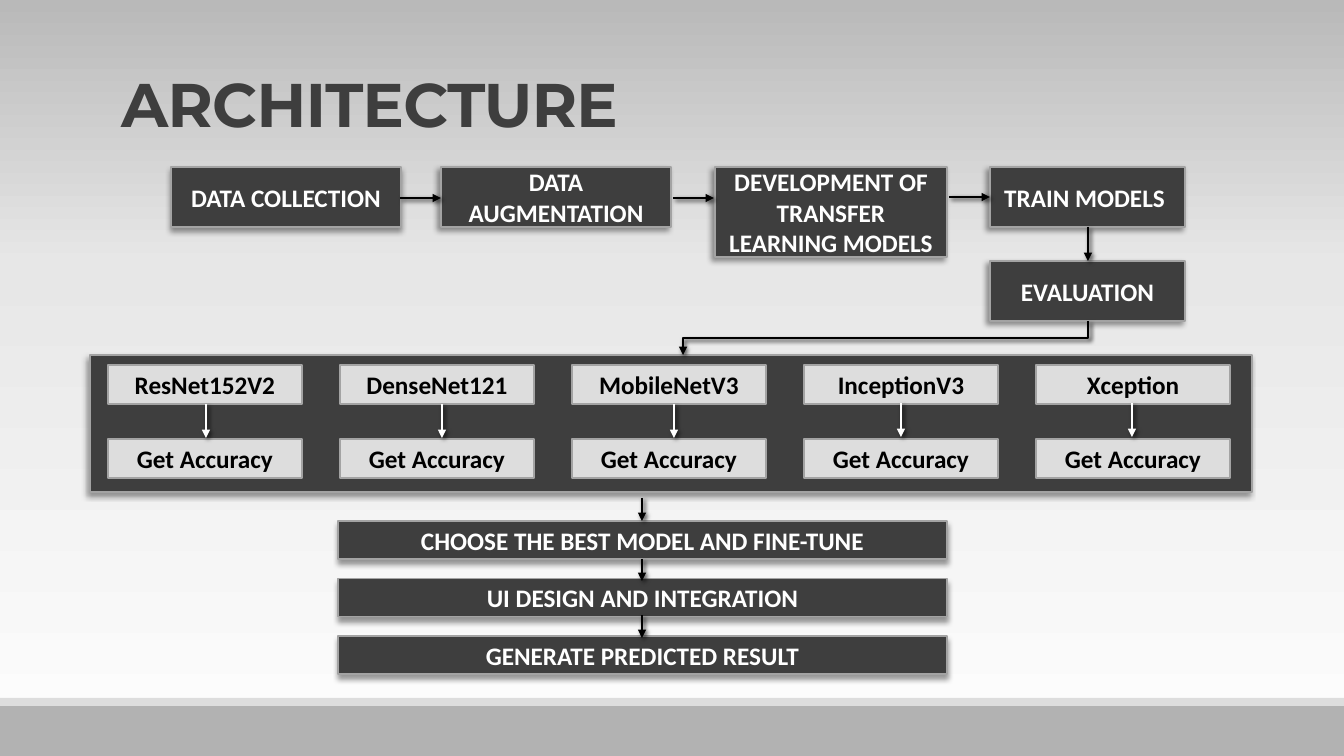
import copy

import pptx
import pptx.util
import pptx.oxml
import pptx.oxml.ns
import pptx.dml.color
import pptx.enum.text
import pptx.enum.shapes

RGB = pptx.dml.color.RGBColor
WHITE, BLACK = RGB(255, 255, 255), RGB(0, 0, 0)
DARK, PALE = RGB(0x3E, 0x3E, 0x3E), RGB(0xDD, 0xDD, 0xDD)
EDGE, BASE = RGB(0xA3, 0xA3, 0xA3), RGB(0xB2, 0xB2, 0xB2)
STOPS = [(0, RGB(0xFE, 0xFE, 0xFE)), (0.65, RGB(0xE7, 0xE7, 0xE7)),
         (1, RGB(0xB9, 0xB9, 0xB9))]

SCALE = 914400 / 100.8
ALIGN = pptx.enum.text.PP_ALIGN
ANCHOR = pptx.enum.text.MSO_ANCHOR
LINK = pptx.enum.shapes.MSO_CONNECTOR
RECT = pptx.enum.shapes.MSO_SHAPE.RECTANGLE
BODY = {"name": "Calibri", "size": pptx.util.Pt(18), "bold": True}
HEAD = {"name": "Montserrat", "size": pptx.util.Pt(44), "bold": True}

# Shadows: opacity %, blur pt, distance pt, angle
BELOW, ASIDE, SOFT = (40, 4, 3, 90), (40, 4, 3, 135), (60, 3, 2, 45)

# Text, box and shadow of each stage
STAGES = [
    ("DATA COLLECTION", (171, 167, 230, 60), BELOW),
    ("DATA AUGMENTATION", (441, 167, 230, 60), ASIDE),
    ("DEVELOPMENT OF TRANSFER LEARNING MODELS", (715, 167, 232, 90), ASIDE),
    ("TRAIN MODELS ", (990, 167, 195, 60), ASIDE),
    ("EVALUATION", (990, 261, 195, 60), ASIDE),
    ("", (90, 355, 1162, 137), ASIDE),
]
FLOWS = [(400, 198, 441, 198), (673, 198, 714, 198), (949, 197, 990, 197),
         (1088, 227, 1088, 261)]
# Name, arrow x and arrow top of each model
MODELS = [("ResNet152V2", 206, 404), ("DenseNet121", 442, 404),
          ("MobileNetV3", 674, 404), ("InceptionV3", 901, 403),
          ("Xception", 1132, 403)]
# Text, and top and end of the arrow that leads to it
FINALS = [("CHOOSE THE BEST MODEL AND FINE-TUNE", 498, 521),
          ("UI DESIGN AND INTEGRATION", 559, 581),
          ("GENERATE PREDICTED RESULT", 615, 638)]


def px(*vals):
    """Turn pixels into EMU."""
    return [pptx.util.Emu(round(v * SCALE)) for v in vals]


def style(thing, form, color):
    """Set font values from a dict, then the colour."""
    for key, val in form.items():
        setattr(thing, key, val)
    thing.color.rgb = color


def shade(shape, cast=None):
    """Replace the theme shadow by the given one, or by none."""
    props = shape._element.spPr
    node = props.find(pptx.oxml.ns.qn("a:effectLst"))
    if node is not None:
        props.remove(node)
    inner = ""
    if cast:
        alpha, blur, dist, turn = cast
        inner = (f'<a:outerShdw blurRad="{blur * 12700}" dist="{dist * 12700}" '
                 f'dir="{turn * 60000}" algn="ctr" rotWithShape="0">'
                 f'<a:srgbClr val="000000"><a:alpha val="{alpha * 1000}"/>'
                 '</a:srgbClr></a:outerShdw>')
    space = pptx.oxml.ns.nsdecls("a")
    props.append(pptx.oxml.parse_xml(
        f"<a:effectLst {space}>{inner}</a:effectLst>"))


def block(slide, area, fill, text="", ink=WHITE, edge=EDGE, cast=None):
    """Add a filled box with centred text."""
    shape = slide.shapes.add_shape(RECT, *px(*area))
    shape.fill.solid()
    shape.fill.fore_color.rgb = fill
    if edge is None:
        shape.line.fill.background()
    else:
        shape.line.color.rgb = edge
        shape.line.width = pptx.util.Pt(1.25)
    shade(shape, cast)
    if text:
        frame = shape.text_frame
        frame.word_wrap = True
        frame.vertical_anchor = ANCHOR.MIDDLE
        para = frame.paragraphs[0]
        para.alignment = ALIGN.CENTER
        run = para.add_run()
        run.text = text
        style(run.font, BODY, ink)


def arrow(slide, ends, ink=BLACK, kind=LINK.STRAIGHT):
    """Add a line with an arrowhead at its end."""
    link = slide.shapes.add_connector(kind, *px(*ends))
    link.line.color.rgb = ink
    link.line.width = pptx.util.Pt(2)
    space = pptx.oxml.ns.nsdecls("a")
    link.line._get_or_add_ln().append(
        pptx.oxml.parse_xml(f'<a:tailEnd {space} type="triangle"/>'))
    shade(link, SOFT)
    return link


def elbow(slide, x1, y1, x2, y2):
    """Add an arrow that runs down, left and down again."""
    midx, midy = (x1 + x2) / 2, (y1 + y2) / 2
    halfw, halfh = (y2 - y1) / 2, (x1 - x2) / 2
    ends = (midx - halfw, midy - halfh, midx + halfw, midy + halfh)
    link = arrow(slide, ends, kind=LINK.ELBOW)
    link._element.spPr.find(pptx.oxml.ns.qn("a:xfrm")).set("rot", "5400000")


def backdrop(slide):
    """Paint the grey gradient and the two bars at the foot."""
    fill = slide.background.fill
    fill.gradient()
    fill.gradient_angle = 90
    stops = next(slide._element.iter(pptx.oxml.ns.qn("a:gsLst")))
    stops.append(copy.deepcopy(stops[-1]))
    for stop, (place, color) in zip(fill.gradient_stops, STOPS):
        stop.position = place
        stop.color.rgb = color
    block(slide, (0, 706, 1344, 50), BASE, edge=None)
    block(slide, (0, 698, 1344, 8), PALE, edge=None)


def title(slide, text):
    """Place and format the title."""
    shape = slide.shapes.title
    shape.left, shape.top, shape.width, shape.height = px(111, 72, 1109, 126)
    frame = shape.text_frame
    frame.word_wrap = True
    frame.auto_size = pptx.enum.text.MSO_AUTO_SIZE.NONE
    frame.vertical_anchor = ANCHOR.TOP
    para = frame.paragraphs[0]
    para.alignment = ALIGN.LEFT
    para.line_spacing = 0.85
    run = para.add_run()
    run.text = text
    style(run.font, HEAD, DARK)
    run._r.get_or_add_rPr().set("spc", "-50")


def main():
    """Build the slide and save it."""
    deck = pptx.Presentation()
    deck.slide_width, deck.slide_height = px(1344, 756)
    slide = deck.slides.add_slide(deck.slide_layouts[5])
    backdrop(slide)
    title(slide, "ARCHITECTURE")
    for text, area, cast in STAGES:
        block(slide, area, DARK, text, cast=cast)
    for ends in FLOWS:
        arrow(slide, ends)
    elbow(slide, 1088, 321, 683, 355)
    for i, (name, x, top) in enumerate(MODELS):
        left = 108 + 232 * i
        block(slide, (left, 365, 194, 39), PALE, name, BLACK)
        block(slide, (left, 439, 194, 39), PALE, "Get Accuracy", BLACK)
        arrow(slide, (x, top, x, top + 34), WHITE)
    for i, (text, top, end) in enumerate(FINALS):
        block(slide, (338, 521 + 57.5 * i, 609, 38), DARK, text, cast=BELOW)
    for text, top, end in FINALS:
        arrow(slide, (642, top, 642, end))
    deck.save("out.pptx")


main()
